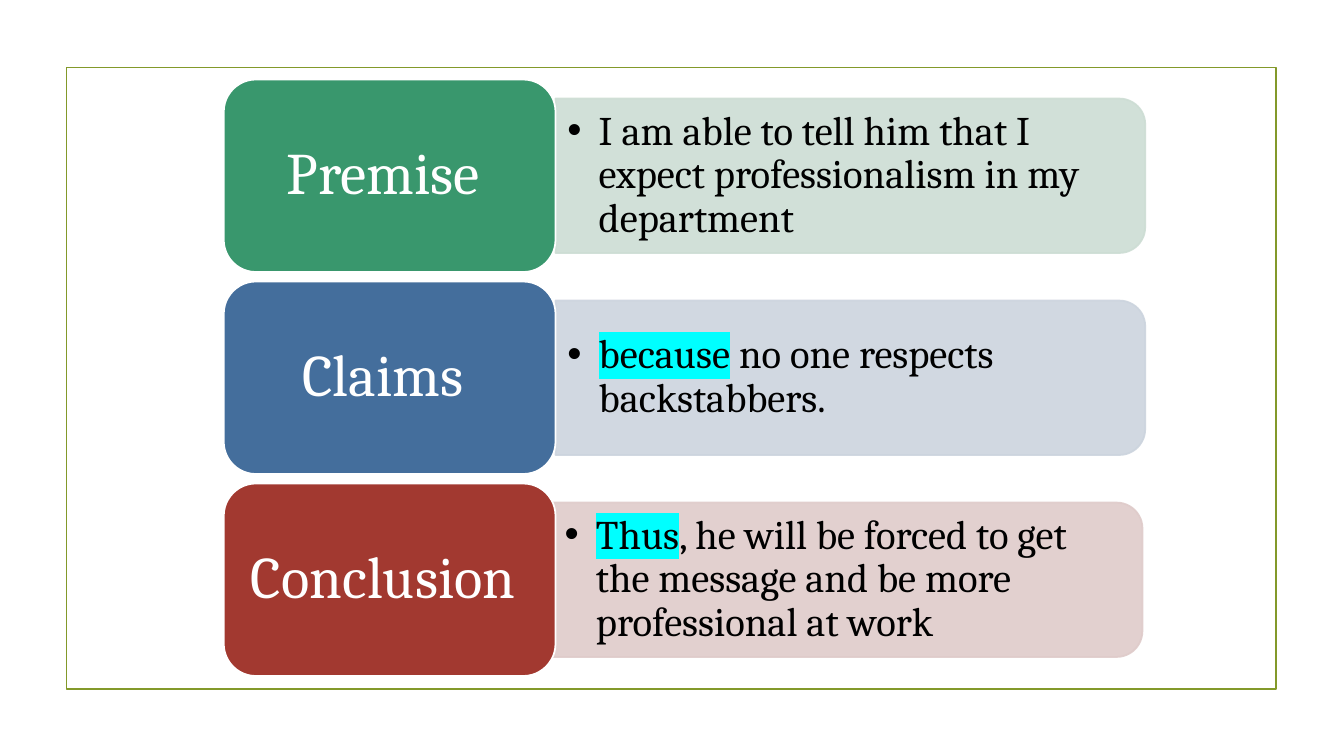
from lxml.etree import SubElement
from pptx import Presentation
from pptx.dml.color import RGBColor
from pptx.enum.shapes import MSO_SHAPE as Preset
from pptx.enum.text import MSO_ANCHOR as Anchor, PP_ALIGN as Align
from pptx.oxml.ns import qn
from pptx.util import Cm, Pt


def color(hex_code):
    return RGBColor.from_string(hex_code)


def write(box, *texts, size, ink, inset, align=Align.LEFT, bullet=False, mark=None):
    """Fill a box with one paragraph; mark highlights its first text."""
    frame = box.text_frame
    frame.word_wrap = True
    frame.vertical_anchor = Anchor.MIDDLE
    frame.margin_left = frame.margin_right = Cm(inset)
    frame.margin_top = frame.margin_bottom = Cm(inset / 2)
    para = frame.paragraphs[0]
    para.alignment = align
    para.line_spacing = 0.9
    if bullet:
        para.level = 1
        props = para._p.get_or_add_pPr()
        props.set("marL", str(Cm(0.79)))
        props.set("indent", str(-Cm(0.79)))
        SubElement(SubElement(props, qn("a:buClr")), qn("a:srgbClr"), val=ink)
        SubElement(props, qn("a:buFont"), typeface="Arial")
        SubElement(props, qn("a:buChar"), char="•")
    for index, text in enumerate(texts):
        span = para.add_run()
        span.text = text
        span.font.size = Pt(size)
        span.font.color.rgb = color(ink)
        if mark and index == 0:
            highlight = SubElement(span._r.get_or_add_rPr(), qn("a:highlight"))
            SubElement(highlight, qn("a:srgbClr"), val=mark)
        span.font.name = "Cambria"


deck = Presentation()
deck.slide_width, deck.slide_height = Cm(33.87), Cm(19.05)
page = deck.slides.add_slide(deck.slide_layouts[6])
shapes = page.shapes

# Page frame
border = shapes.add_shape(Preset.RECTANGLE, Cm(1.68), Cm(1.7), Cm(30.48), Cm(15.67))
border.shadow.inherit = False
border.fill.background()
border.line.color.rgb = color("83992A")
border.line.width = Pt(1.25)

# Parts of the argument: label, label fill, band fill, band shift, highlight, texts
CYAN = "00FFFF"
steps = [
    ("Premise ", "39976D", "CDDDD4", 0, None,
     ["I am able to tell him that I expect professionalism in my department"]),
    ("Claims ", "446E9C", "CCD4DE", 0, CYAN,
     ["because", " no one respects backstabbers."]),
    ("Conclusion ", "A23930", "DFCBCA", -0.07, CYAN,
     ["Thus", ", he will be forced to get the message and be more professional at work"]),
]
LABEL_LEFT, LABEL_WIDTH, LABEL_HEIGHT = 5.64, 8.36, 4.85
BAND_WIDTH, BAND_HEIGHT = 14.86, 3.89
FIRST_MIDDLE, PITCH = 4.43, 5.09

for row, (title, label_fill, band_fill, shift, mark, texts) in enumerate(steps):
    middle = FIRST_MIDDLE + row * PITCH
    band_left = LABEL_LEFT + LABEL_WIDTH + shift

    # Band, an upright shape turned so that its round corners face right
    band = shapes.add_shape(
        Preset.ROUND_2_SAME_RECTANGLE,
        Cm(band_left + (BAND_WIDTH - BAND_HEIGHT) / 2), Cm(middle - BAND_WIDTH / 2),
        Cm(BAND_HEIGHT), Cm(BAND_WIDTH))
    band.rotation = 90
    band.adjustments[0] = 0.167
    band.shadow.inherit = False
    band.line.width = Pt(1.25)
    for paint in (band.fill, band.line.fill):
        paint.solid()
        paint.fore_color.rgb = color(band_fill)
    for tint in band._element.spPr.iter(qn("a:srgbClr")):
        SubElement(tint, qn("a:alpha"), val="90000")

    # Statement on the band
    statement = shapes.add_textbox(
        Cm(band_left), Cm(middle - 1.75), Cm(14.66), Cm(3.5))
    write(statement, *texts, size=29, ink="000000", inset=0.3, bullet=True, mark=mark)

    # Label
    label = shapes.add_shape(
        Preset.ROUNDED_RECTANGLE, Cm(LABEL_LEFT), Cm(middle - LABEL_HEIGHT / 2),
        Cm(LABEL_WIDTH), Cm(LABEL_HEIGHT))
    label.adjustments[0] = 0.167
    label.shadow.inherit = False
    label.fill.solid()
    label.fill.fore_color.rgb = color(label_fill)
    label.line.color.rgb = color("FFFFFF")
    label.line.width = Pt(1.25)
    write(label, title, size=42, ink="FFFFFF", inset=0.43, align=Align.CENTER)

deck.save("out.pptx")
